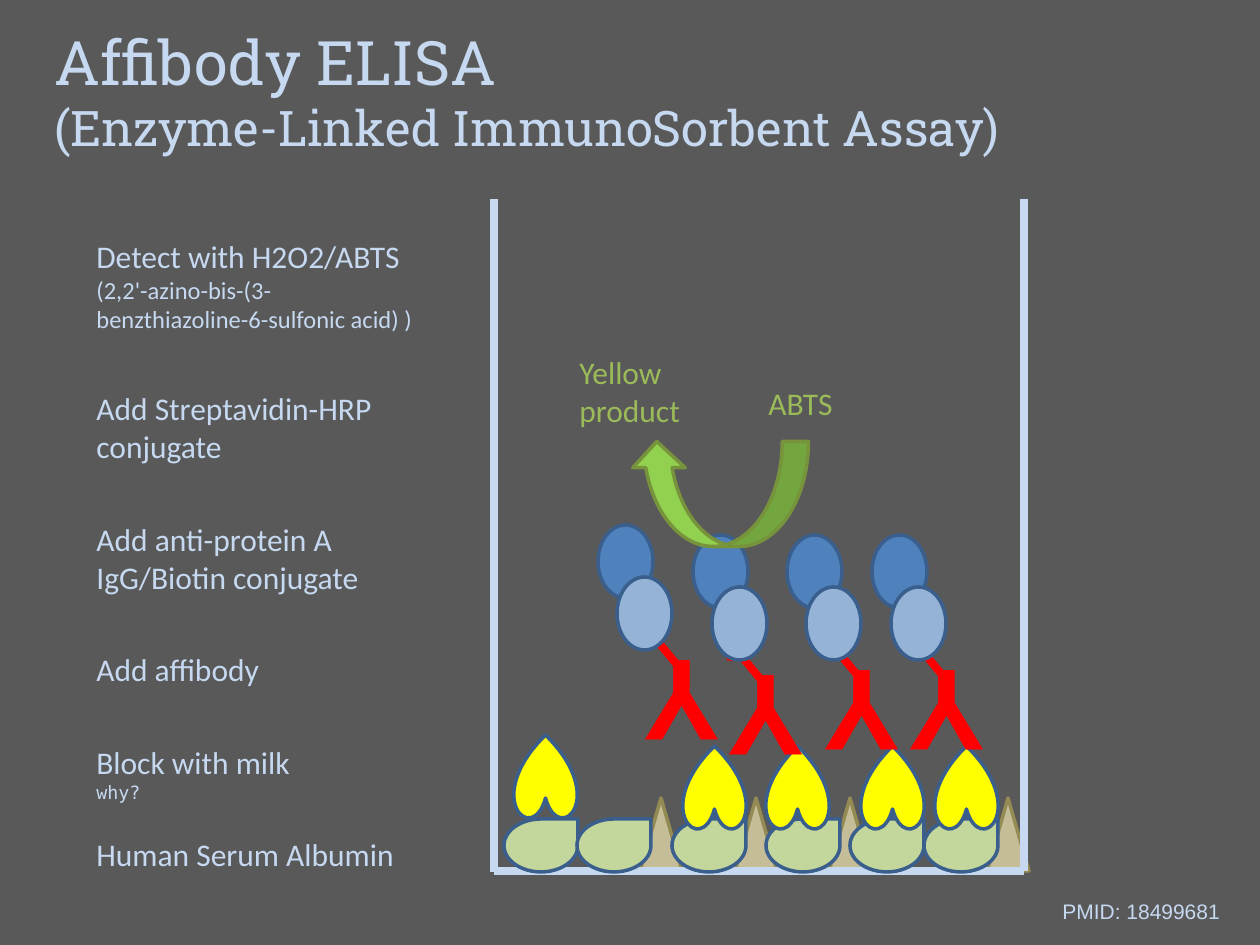
from lxml import etree
from pptx import Presentation
from pptx.dml.color import RGBColor
from pptx.enum.shapes import MSO_CONNECTOR, MSO_SHAPE
from pptx.enum.text import MSO_AUTO_SIZE
from pptx.oxml.ns import qn
from pptx.util import Emu, Pt

STRAIGHT = MSO_CONNECTOR.STRAIGHT
TRIANGLE = MSO_SHAPE.ISOSCELES_TRIANGLE
TEARDROP = MSO_SHAPE.TEAR
HEART = MSO_SHAPE.HEART
OVAL = MSO_SHAPE.OVAL
CURVED_ARROW = MSO_SHAPE.CURVED_LEFT_ARROW
FIT_SHAPE = MSO_AUTO_SIZE.SHAPE_TO_FIT_TEXT

PX = 914400 / 126
THEME = {
    "background": "595959", "text": "C6D9F1", "reaction": "9BBB59",
    "milk": "C4BD97", "milk_line": "948A54", "outline": "3A5F8C",
    "albumin": "C3D69B", "affibody": "FFFF00", "antibody": "FF0000",
    "streptavidin": "4F81BD", "biotin": "95B3D7",
    "arrow": "92D050", "arrow_line": "77933C",
    "title_font": "Roboto Slab", "body_font": "Calibri",
    "plain_font": "Arial", "mono_font": "DejaVu Sans Mono",
    "title": 35, "subtitle": 28, "body": 18, "detail": 14,
    "source": 12, "aside": 10.5, "letter": 66,
    "outline_width": 2, "heavy_width": 4.5,
}

presentation = Presentation()
presentation.slide_width = Emu(round(1260 * PX))
presentation.slide_height = Emu(round(945 * PX))
slide = presentation.slides.add_slide(presentation.slide_layouts[6])
slide.background.fill.solid()
slide.background.fill.fore_color.rgb = RGBColor.from_string(THEME["background"])


def add_part(kind, box, fill, line="outline", rotation=0):
    shape = slide.shapes.add_shape(kind, *[Emu(round(v * PX)) for v in box])
    shape.shadow.inherit = False
    shape.rotation = rotation
    shape.fill.solid()
    shape.fill.fore_color.rgb = RGBColor.from_string(THEME[fill])
    shape.line.color.rgb = RGBColor.from_string(THEME[line])
    shape.line.width = Pt(THEME["outline_width"])


def add_line(ends, color):
    connector = slide.shapes.add_connector(STRAIGHT, *[Emu(round(v * PX)) for v in ends])
    connector.line.color.rgb = RGBColor.from_string(THEME[color])
    connector.line.width = Pt(THEME["heavy_width"])
    etree.SubElement(connector._element.spPr, qn("a:effectLst"))
    return connector


for left in (640, 735, 829, 987):
    add_part(TRIANGLE, (left, 798, 42, 73), "milk", "milk_line")

for ends in ((494, 199, 494, 872), (494, 871, 1024, 871), (1024, 199, 1024, 871)):
    add_line(ends, "text")

for left in (504, 577, 672, 766, 850, 924):
    add_part(TEARDROP, (left, 819, 74, 53), "albumin")

for left, top in ((514, 735), (683, 746), (861, 746), (766, 746), (935, 746)):
    add_part(HEART, (left, top, 63, 84), "affibody", rotation=180)

antibodies = ((630, 630), (714, 645), (810, 640), (895, 640))
for left, top in antibodies:
    connector = add_line((left + 53, top + 42, left + 10, top - 10), "antibody")
    etree.SubElement(connector.line._get_or_add_ln(), qn("a:tailEnd"), type="arrow")

for left, top in ((598, 525), (693, 535), (787, 535), (872, 535)):
    add_part(OVAL, (left, top, 55, 73), "streptavidin")
    add_part(OVAL, (left + 19, top + 52, 55, 73), "biotin")

add_part(CURVED_ARROW, (667, 405, 105, 178), "arrow", "arrow_line", rotation=90)

texts = [
    ((42, 18, 1218, 146), True, 0, "text", [
        [("Affibody ELISA", "title", "title_font")],
        [("(Enzyme-Linked ImmunoSorbent Assay)", "subtitle", "title_font")]]),
    ((1050, 892, 184, 38), False, 0, "text", [[("PMID: 18499681", "source", "plain_font")]]),
    ((84, 829, 326, 50), False, 0, "text", [[("Human Serum Albumin", "body", "body_font")]]),
    ((84, 737, 263, 50), True, 0, "text", [
        [("Block with milk", "body", "body_font"), ("why?", "aside", "mono_font")]]),
    ((84, 644, 190, 50), False, 0, "text", [[("Add affibody", "body", "body_font")]]),
    ((84, 514, 346, 89), True, 0, "text", [
        [("Add anti-protein A IgG/Biotin conjugate", "body", "body_font")]]),
    ((84, 383, 346, 89), True, 0, "text", [
        [("Add Streptavidin-HRP conjugate", "body", "body_font")]]),
    ((84, 231, 346, 111), True, 0, "text", [
        [("Detect with H2O2/ABTS", "body", "body_font")],
        [("(2,2'-azino-bis-(3-benzthiazoline-6-sulfonic acid) )", "detail", "body_font")]]),
    ((756, 378, 91, 50), False, 0, "reaction", [[("ABTS", "body", "body_font")]]),
    ((567, 347, 199, 89), True, 0, "reaction", [
        [("Yellow", "body", "body_font"), ("product", "body", "body_font")]]),
]
for left, top in antibodies:
    texts.append(((left, top, 103, 152), False, 180, "antibody", [[("Y", "letter", "plain_font")]]))

for box, wrap, rotation, color, paragraphs in texts:
    text_box = slide.shapes.add_textbox(*[Emu(round(v * PX)) for v in box])
    text_box.rotation = rotation
    frame = text_box.text_frame
    frame.word_wrap = wrap
    frame.auto_size = FIT_SHAPE
    for index, runs in enumerate(paragraphs):
        paragraph = frame.add_paragraph() if index else frame.paragraphs[0]
        for position, (text, size, font) in enumerate(runs):
            if position:
                paragraph.add_line_break()
            run = paragraph.add_run()
            run.text = text
            run.font.size = Pt(THEME[size])
            run.font.name = THEME[font]
            run.font.bold = size == "letter"
            run.font.color.rgb = RGBColor.from_string(THEME[color])

presentation.save("out.pptx")
